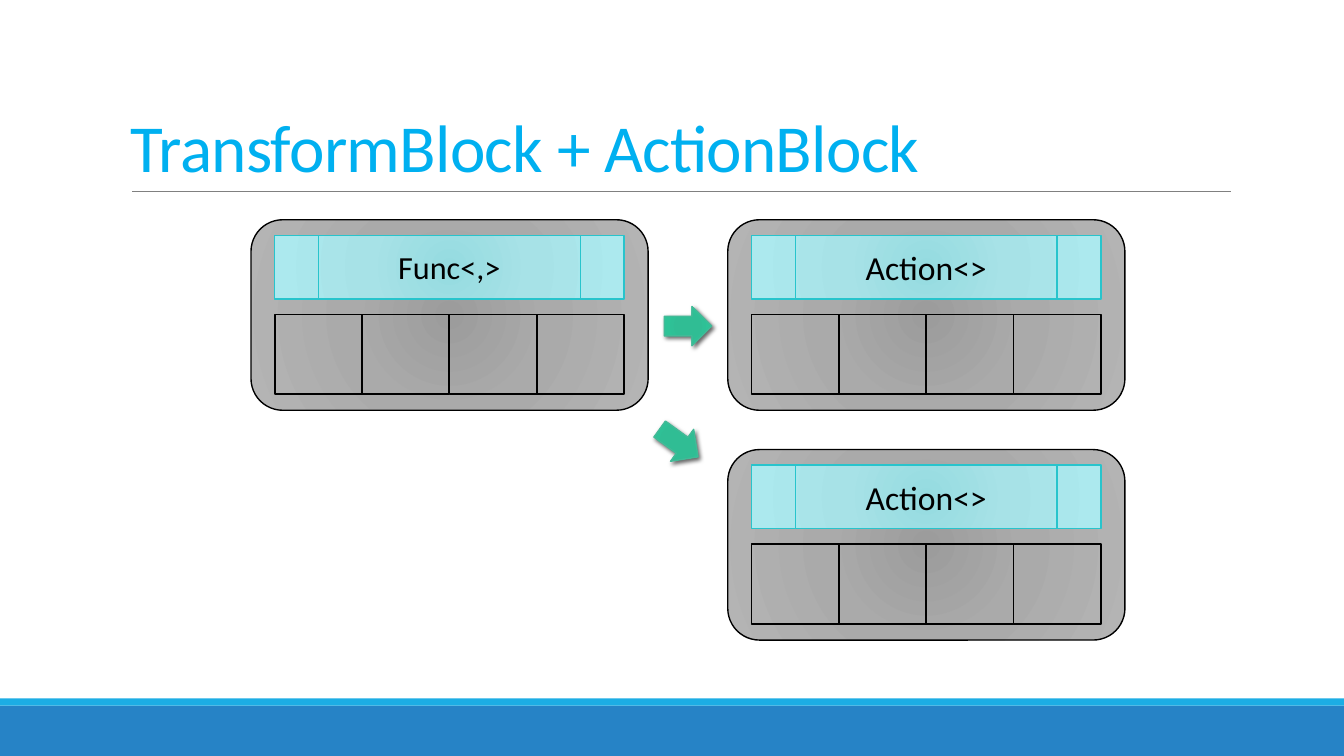
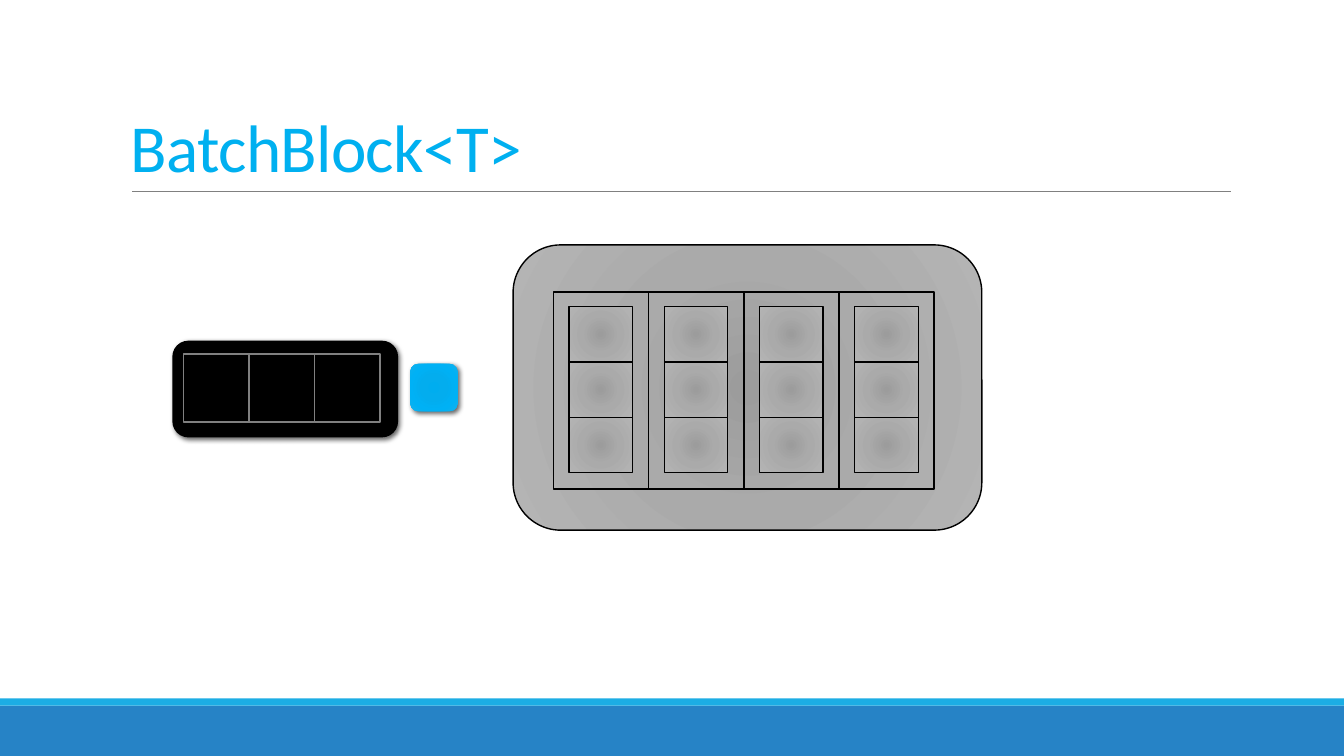
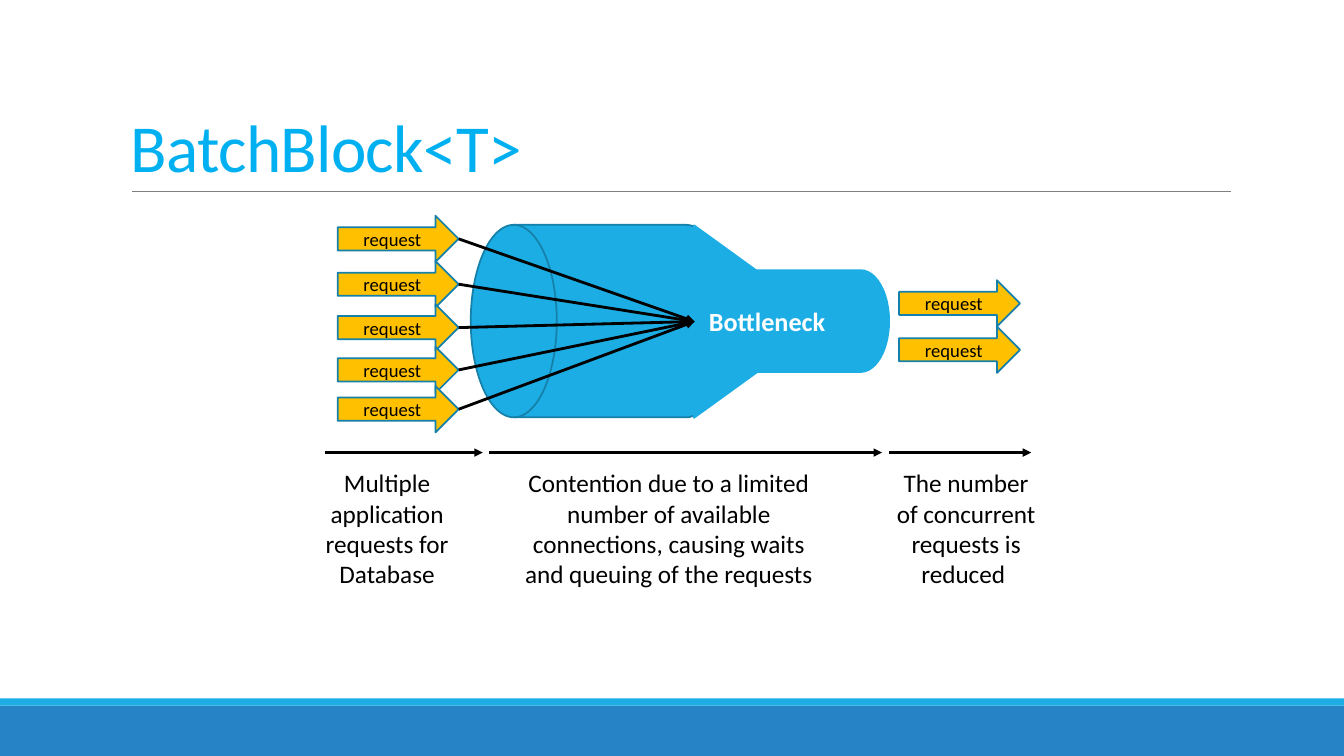
from lxml import etree
from pptx import Presentation
from pptx import util as u
from pptx.dml.color import RGBColor
from pptx.enum import shapes, text
from pptx.oxml.ns import qn

# Grid: square cells of a tenth of an inch
CELL = u.Inches(0.1)
COLS, ROWS = 133.33, 75
FONT = "Calibri"
C = {
    "title": "00B0F0", "rule": "808080", "band": "2683C6", "stripe": "1CADE4",
    "black": "000000", "white": "FFFFFF", "teal": "28C4CC", "green": "42BA97",
    "amber": "FFC000", "edge": "1580A9",
}
# Radial gradients: (position in percent, colour)
GREY = [(0, "9C9C9C"), (45, "AAAAAA"), (100, "B4B4B4")]
AQUA = [(0, "95DBE0"), (45, "A7E2E7"), (100, "ACE9EE")]
GREEN = [(0, "2DBE94"), (34, "30BD94"), (70, "2EC397"), (100, "3CC09A")]
BLUE = [(0, "00ADEF"), (34, "03ADEE"), (70, "00B1F5"), (100, "12B1EE")]
S = shapes.MSO_SHAPE


def add_box(s, kind, x, y, w, h, fill=None, line=None, pt=1.0, blur=0, rot=0,
            label="", size=18, color="black", bold=False, wrap=True):
    """Add a preset shape, or a text box when kind is None; lengths in cells."""
    at = [round(v * CELL) for v in (x, y, w, h)]
    if kind is None:
        sp = s.shapes.add_textbox(*at)
    else:
        sp = s.shapes.add_shape(kind, *at)
        sp.shadow.inherit = False
        sp.rotation = rot
        if isinstance(fill, list):
            sp.fill.gradient()
            grad = sp.element.spPr.find(qn("a:gradFill"))
            for child in list(grad):
                grad.remove(child)
            stops = etree.SubElement(grad, qn("a:gsLst"))
            for pos, rgb in fill:
                gs = etree.SubElement(stops, qn("a:gs"), pos=str(pos * 1000))
                etree.SubElement(gs, qn("a:srgbClr"), val=rgb)
            circle = etree.SubElement(grad, qn("a:path"), path="circle")
            etree.SubElement(circle, qn("a:fillToRect"), {k: "100000" for k in "ltrb"})
        elif fill:
            sp.fill.solid()
            sp.fill.fore_color.rgb = RGBColor.from_string(C[fill])
        else:
            sp.fill.background()
        if line:
            sp.line.color.rgb = RGBColor.from_string(C[line])
            sp.line.width = u.Pt(pt)
        else:
            sp.line.fill.background()
        if blur:
            effects = sp.element.spPr.find(qn("a:effectLst"))
            shadow = etree.SubElement(
                effects, qn("a:outerShdw"), blurRad=str(u.Pt(blur)), dist=str(u.Pt(2)),
                dir="2700000", algn="tl", rotWithShape="0")
            clr = etree.SubElement(shadow, qn("a:srgbClr"), val=C["black"])
            etree.SubElement(clr, qn("a:alpha"), val="60000")
    if label:
        tf = sp.text_frame
        tf.word_wrap = wrap
        tf.vertical_anchor = text.MSO_ANCHOR.MIDDLE if kind else text.MSO_ANCHOR.TOP
        p = tf.paragraphs[0]
        p.alignment = text.PP_ALIGN.CENTER
        r = p.add_run()
        r.text = label
        r.font.name, r.font.size, r.font.bold = FONT, u.Pt(size), bold
        r.font.color.rgb = RGBColor.from_string(C[color])
    return sp


def add_line(s, x1, y1, x2, y2, color="black", pt=2.0, arrow=True):
    c = s.shapes.add_connector(shapes.MSO_CONNECTOR.STRAIGHT,
                               *[round(v * CELL) for v in (x1, y1, x2, y2)])
    c.line.color.rgb = RGBColor.from_string(C[color])
    c.line.width = u.Pt(pt)
    etree.SubElement(c.element.spPr, qn("a:effectLst"))
    if arrow:
        etree.SubElement(c.element.spPr.find(qn("a:ln")), qn("a:tailEnd"), type="triangle")


prs = Presentation()
prs.slide_width, prs.slide_height = round(COLS * CELL), ROWS * CELL

# Shared frame: bands, rule and title
slides = []
for title in ("TransformBlock + ActionBlock", "BatchBlock<T>", "BatchBlock<T>"):
    s = prs.slides.add_slide(prs.slide_layouts[6])
    add_box(s, S.RECTANGLE, 0, ROWS - 5, COLS, 5, "band")
    add_box(s, S.RECTANGLE, 0, ROWS - 5.7, COLS, 0.7, "stripe")
    add_line(s, 13.1, 19, 122.1, 19, "rule", 0.5, arrow=False)
    sp = add_box(s, None, 12, 3.1, 110, 15.9, label=title, size=48, color="title")
    sp.text_frame.vertical_anchor = text.MSO_ANCHOR.BOTTOM
    p = sp.text_frame.paragraphs[0]
    p.alignment = text.PP_ALIGN.LEFT
    p.line_spacing = 0.85
    p.runs[0].font._element.set("spc", "-50")
    slides.append(s)
flow, batch, funnel = slides

# Slide 1: blocks with a delegate above a four-cell buffer
BUFFER_W, SLOTS = 34.65, 4
slot = BUFFER_W / SLOTS
for x, y, name, size in ((24.9, 21.8, "Func<,>", 23), (72.2, 21.8, "Action<>", 24),
                         (72.2, 44.6, "Action<>", 24)):
    add_box(flow, S.ROUNDED_RECTANGLE, x, y, 39.4, 18.9, GREY, "black")
    for i in range(SLOTS):
        add_box(flow, S.RECTANGLE, x + 2.36 + i * slot, y + 9.4, slot, 7.9,
                line="black", pt=1.25)
    add_box(flow, S.FLOWCHART_PREDEFINED_PROCESS, x + 2.36, y + 1.55, BUFFER_W, 6.3,
            AQUA, "teal", label=name, size=size)
for x, y, rot in ((65.9, 30.4, 0), (65, 42, 35.9)):
    add_box(flow, S.RIGHT_ARROW, x, y, 4.7, 3.9, GREEN, "green", blur=3, rot=rot)

# Slide 2: batch block, four columns of three items
add_box(batch, S.ROUNDED_RECTANGLE, 50.9, 24.3, 46.5, 28.3, GREY, "black")
for i in range(4):
    x = 54.9 + i * 9.45
    add_box(batch, S.RECTANGLE, x, 29, 9.45, 19.5, line="black", pt=1.25)
    for j in range(3):
        add_box(batch, S.RECTANGLE, x + 1.55, 30.4 + j * 5.5, 6.3, 5.5, GREY, "black")

# Incoming batch and single item
add_box(batch, S.ROUNDED_RECTANGLE, 17.1, 33.8, 22.4, 9.6, "black", blur=3.5)
for i in range(3):
    add_box(batch, S.RECTANGLE, 18.2 + i * 6.5, 35.1, 6.5, 6.8, line="rule", pt=1.25)
add_box(batch, S.ROUNDED_RECTANGLE, 40.7, 36.1, 4.7, 4.7, BLUE, blur=3.5)

# Slide 3: bottle from two drums and a neck
for kind, x, y, w, h, rot, line in (
        (S.FLOWCHART_DIRECT_ACCESS_STORAGE, 46.7, 22.3, 25.6, 19.1, 180, "edge"),
        (S.FLOWCHART_MERGE, 65.9, 25.3, 19.1, 13.2, 270, "stripe"),
        (S.FLOWCHART_DIRECT_ACCESS_STORAGE, 71.3, 26.8, 16.9, 10.1, 180, "stripe")):
    add_box(funnel, kind, x, y, w, h, "stripe", line, 1.25, rot=rot)
add_box(funnel, None, 68.9, 29.8, 15, 4.2, label="Bottleneck ", size=18.7,
        color="white", bold=True, wrap=False)

# Requests in and out
ins = [(33.5, y) for y in (21.4, 25.9, 30.2, 34.4, 38.3)]
outs = [(89.2, y) for y in (27.8, 32.4)]
for x, y in ins + outs:
    add_box(funnel, S.RIGHT_ARROW, x, y, 12, 4.6, "amber", "edge", 1.25,
            label="request", size=13.3)
for x, y in ins:
    add_line(funnel, x + 12, y + 2.3, 68.9, 31.9)

# Stages: arrow from x1 to x2 with a caption below
for x1, x2, x, w, caption in (
        (32.2, 47.9, 28.3, 20.2, "Multiple application requests for Database"),
        (48.5, 87.5, 50.6, 31.5, "Contention due to a limited number of available "
                                 "connections, causing waits and queuing of the requests"),
        (88.2, 102.3, 87.5, 16.7, "The number of concurrent requests is reduced ")):
    add_line(funnel, x1, 44.9, x2, 44.9)
    add_box(funnel, None, x, 45.9, w, 13.1, label=caption)

prs.save("out.pptx")
